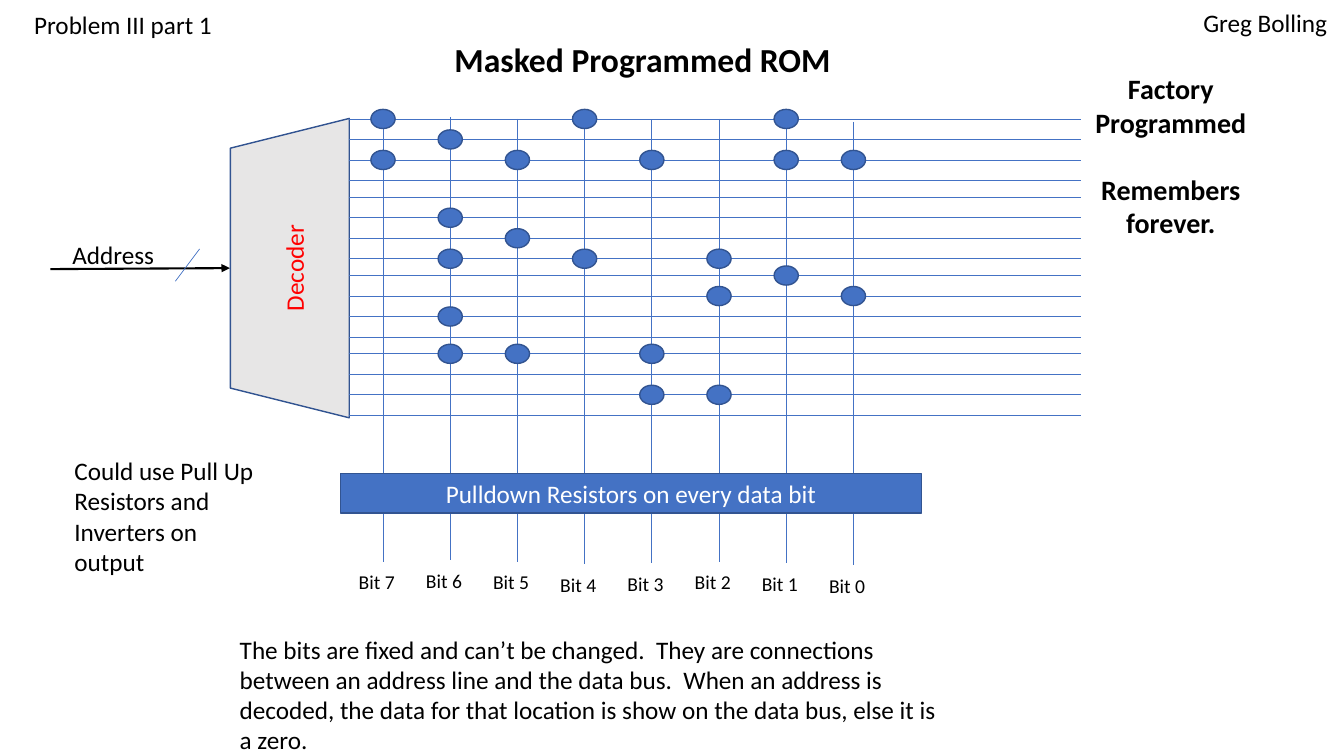
from dataclasses import dataclass

from lxml.etree import SubElement
from pptx import Presentation
from pptx.dml.color import RGBColor
from pptx.enum.shapes import MSO_CONNECTOR, MSO_SHAPE
from pptx.enum.text import MSO_ANCHOR, MSO_AUTO_SIZE, PP_ALIGN
from pptx.oxml.ns import qn
from pptx.shapes.autoshape import Shape
from pptx.slide import Slide
from pptx.util import Emu, Inches, Pt

COLUMNS, ROWS = 40, 22.5
CELL = Inches(1) / 3


@dataclass(frozen=True)
class Theme:
    font: str = "Calibri"
    black: str = "000000"
    white: str = "FFFFFF"
    red: str = "FF0000"
    blue: str = "4472C4"
    edge: str = "325491"
    grey: str = "E7E6E6"
    title: int = 24
    callout: int = 20
    body: int = 18
    label: int = 14
    thin: float = 0.5
    outline: float = 1
    arrow: float = 1.5


THEME = Theme()


@dataclass(frozen=True)
class Box:
    """Left, top, width and height in grid cells."""
    x: float
    y: float
    w: float
    h: float

    def lengths(self) -> tuple[Emu, ...]:
        return tuple(cells(n) for n in (self.x, self.y, self.w, self.h))


@dataclass(frozen=True)
class Style:
    size: int = THEME.body
    color: str = THEME.black
    bold: bool = False
    align: PP_ALIGN = PP_ALIGN.LEFT
    gap: float = 0


@dataclass(frozen=True)
class Note:
    box: Box
    paragraphs: tuple[str, ...]
    style: Style = Style()


@dataclass(frozen=True)
class Line:
    x1: float
    y1: float
    x2: float
    y2: float
    color: str = THEME.blue
    width: float = THEME.thin
    arrow: bool = False


@dataclass(frozen=True)
class BitLine:
    bit: int
    shift: float
    words: tuple[int, ...]

    @property
    def x(self) -> float:
        return 11.4 + 2 * (7 - self.bit)


BIT_LINES = (
    BitLine(7, 0, (0, 2)),
    BitLine(6, -0.06, (1, 5, 7, 10, 12)),
    BitLine(5, 0, (2, 6, 12)),
    BitLine(4, 0.06, (0, 7)),
    BitLine(3, 0.03, (2, 12, 14)),
    BitLine(2, 0, (7, 9, 14)),
    BitLine(1, 0.03, (0, 2, 8)),
    BitLine(0, 0.09, (2, 9)),
)
WORD_COUNT = 16
BUS_TOP, BUS_HEIGHT = 3.54, 13.18
DOT_W, DOT_H = 0.72, 0.57

TITLE = Note(Box(12, 1.02, 14.25, 1.5), ("Masked Programmed ROM",),
             Style(THEME.title, bold=True, align=PP_ALIGN.CENTER))
NOTES = (
    Note(Box(1.86, 6.99, 3.54, 1.2), ("Address",)),
    Note(Box(6.84, 18.72, 21.75, 3.93), (
        "The bits are fixed and can’t be changed.  They are connections between "
        "an address line and the data bus.  When an address is decoded, the data "
        "for that location is show on the data bus, else it is a zero.",)),
    Note(Box(32.16, 1.98, 5.37, 7.38),
         ("Factory Programmed", "Remembers forever."),
         Style(THEME.callout, bold=True, align=PP_ALIGN.CENTER, gap=24)),
    Note(Box(1.92, 13.41, 6.45, 3.93),
         ("Could use Pull Up Resistors and Inverters on output",)),
    Note(Box(0.72, 0.12, 20, 1.2), ("Problem III part 1",)),
    Note(Box(35.52, 0.06, 4.5, 1.2), ("Greg Bolling",)),
)


def cells(n: float) -> Emu:
    return Emu(round(n * CELL))


def rgb(color: str) -> RGBColor:
    return RGBColor.from_string(color)


def word_y(word: int) -> float:
    """Height of an address line; the lines come in groups of four."""
    group, step = divmod(word, 4)
    return 3.54 + 2.33 * group + 0.61 * step


def write(sp: Shape, paragraphs: tuple[str, ...], style: Style) -> None:
    tf = sp.text_frame
    tf.word_wrap = True
    for i, text in enumerate(paragraphs):
        p = tf.add_paragraph() if i else tf.paragraphs[0]
        p.alignment = style.align
        if i:
            p.space_before = Pt(style.gap)
        r = p.add_run()
        r.text = text
        r.font.name, r.font.size, r.font.bold = THEME.font, Pt(style.size), style.bold
        r.font.color.rgb = rgb(style.color)


def add_note(s: Slide, note: Note) -> None:
    sp = s.shapes.add_textbox(*note.box.lengths())
    write(sp, note.paragraphs, note.style)
    sp.text_frame.auto_size = MSO_AUTO_SIZE.SHAPE_TO_FIT_TEXT


def add_title(s: Slide, note: Note) -> None:
    sp = s.shapes.title
    sp.left, sp.top, sp.width, sp.height = note.box.lengths()
    write(sp, note.paragraphs, note.style)
    sp.text_frame.vertical_anchor = MSO_ANCHOR.TOP
    sp.text_frame.auto_size = MSO_AUTO_SIZE.NONE


def add_line(s: Slide, line: Line) -> None:
    ends = (cells(n) for n in (line.x1, line.y1, line.x2, line.y2))
    cxn = s.shapes.add_connector(MSO_CONNECTOR.STRAIGHT, *ends)
    cxn.line.width = Pt(line.width)
    cxn.line.color.rgb = rgb(line.color)
    if line.arrow:
        SubElement(cxn.line._get_or_add_ln(), qn("a:tailEnd"), type="triangle")
    SubElement(cxn._element.spPr, qn("a:effectLst"))


def add_block(s: Slide, kind: MSO_SHAPE, box: Box, fill: str = THEME.blue) -> Shape:
    sp = s.shapes.add_shape(kind, *box.lengths())
    sp.shadow.inherit = False
    sp.fill.solid()
    sp.fill.fore_color.rgb = rgb(fill)
    sp.line.color.rgb = rgb(THEME.edge)
    sp.line.width = Pt(THEME.outline)
    return sp


def add_address_input(s: Slide) -> None:
    decoder = add_block(s, MSO_SHAPE.TRAPEZOID, Box(4.17, 6.21, 8.91, 3.54), THEME.grey)
    decoder.rotation = 270
    decoder.text_frame.vertical_anchor = MSO_ANCHOR.MIDDLE
    write(decoder, ("Decoder",), Style(color=THEME.red, align=PP_ALIGN.CENTER))
    add_line(s, Line(1.5, 8.01, 6.84, 7.98, THEME.black, THEME.arrow, True))
    add_line(s, Line(5.94, 7.41, 5.22, 8.37))


def add_matrix(s: Slide) -> None:
    """Draw address lines, data lines with labels, and their connection dots."""
    for word in range(WORD_COUNT):
        add_line(s, Line(10.38, word_y(word), 32.16, word_y(word)))
    for bit in BIT_LINES:
        top = BUS_TOP + bit.shift
        bottom = top + BUS_HEIGHT
        add_line(s, Line(bit.x, top, bit.x, bottom))
        add_note(s, Note(Box(bit.x - 1.02, bottom + 0.11, 2.01, 1.02),
                         (f"Bit {bit.bit}",), Style(THEME.label)))
        for word in bit.words:
            add_block(s, MSO_SHAPE.OVAL, Box(bit.x - DOT_W / 2, word_y(word) - DOT_H / 2,
                                             DOT_W, DOT_H))


def main() -> None:
    prs = Presentation()
    prs.slide_width, prs.slide_height = cells(COLUMNS), cells(ROWS)
    s = prs.slides.add_slide(prs.slide_layouts.get_by_name("Title Only"))
    add_title(s, TITLE)
    add_address_input(s)
    add_matrix(s)
    resistors = add_block(s, MSO_SHAPE.RECTANGLE, Box(10.14, 14.1, 17.28, 1.17))
    resistors.text_frame.vertical_anchor = MSO_ANCHOR.MIDDLE
    write(resistors, ("Pulldown Resistors on every data bit",),
          Style(color=THEME.white, align=PP_ALIGN.CENTER))
    for note in NOTES:
        add_note(s, note)
    prs.save("out.pptx")


if __name__ == "__main__":
    main()
